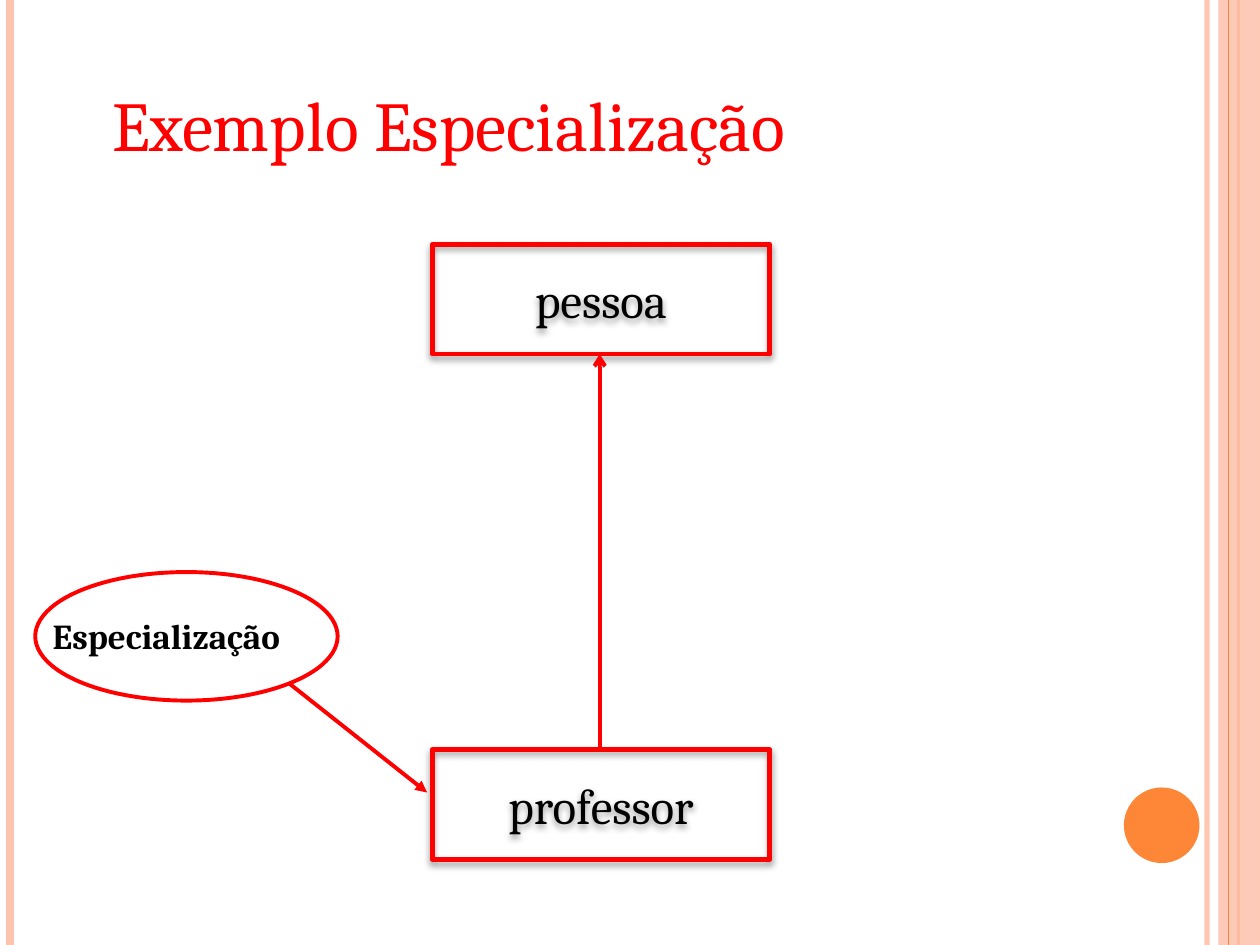
import pptx
import pptx.dml.color
import pptx.enum.shapes
import pptx.enum.text
import pptx.oxml
import pptx.oxml.ns
import pptx.util
from lxml import etree

RGB = pptx.dml.color.RGBColor
RED = RGB(0xFF, 0x00, 0x00)
BLACK = RGB(0x00, 0x00, 0x00)
ORANGE = RGB(0xFE, 0x86, 0x37)
PEACH = RGB(0xFE, 0xC3, 0xAE)

FONT = "Cambria"
COLS, ROWS = 100, 75
SHAPE = pptx.enum.shapes.MSO_SHAPE
ALIGN = pptx.enum.text.PP_ALIGN
ANCHOR = pptx.enum.text.MSO_ANCHOR
FIT = pptx.enum.text.MSO_AUTO_SIZE
qn = pptx.oxml.ns.qn


class Deck:
    """Holds the style and the current slide; lengths are grid columns and rows."""

    def __init__(self):
        self.prs = pptx.Presentation()
        self.prs.slide_width = pptx.util.Inches(10)
        self.prs.slide_height = pptx.util.Inches(7.5)
        self.s = self.prs.slides.add_slide(self.prs.slide_layouts[5])

    def x(self, cols):
        return round(self.prs.slide_width * cols / COLS)

    def y(self, rows):
        return round(self.prs.slide_height * rows / ROWS)

    def box(self, left, top, width, height):
        return self.x(left), self.y(top), self.x(width), self.y(height)

    def add_text(self, sp, text, size, color=BLACK, bold=False,
                 align=ALIGN.LEFT, anchor=ANCHOR.TOP, wrap=True):
        tf = sp.text_frame
        tf.word_wrap = wrap
        tf.auto_size = FIT.NONE
        tf.vertical_anchor = anchor
        p = tf.paragraphs[0]
        p.alignment = align
        r = p.add_run()
        r.text = text
        r.font.name = FONT
        r.font.size = pptx.util.Pt(size)
        r.font.bold = bold
        r.font.color.rgb = color

    def title(self, at, text):
        sp = self.s.shapes.title
        sp.left, sp.top, sp.width, sp.height = self.box(*at)
        self.add_text(sp, text, 40, RED, wrap=False)

    def label(self, at, text):
        sp = self.s.shapes.add_textbox(*self.box(*at))
        self.add_text(sp, text, 20, bold=True)

    def shape(self, kind, at, fill=None, line=None, width=1, alpha=None):
        sp = self.s.shapes.add_shape(kind, *self.box(*at))
        sp.shadow.inherit = False
        if fill is None:
            sp.fill.background()
        else:
            sp.fill.solid()
            sp.fill.fore_color.rgb = fill
            self.fade(sp, alpha)
        if line is None:
            sp.line.fill.background()
        else:
            sp.line.color.rgb = line
            sp.line.width = pptx.util.Pt(width)
        return sp

    def entity(self, at, text):
        sp = self.shape(SHAPE.RECTANGLE, at, line=RED, width=2.75)
        shadow = etree.SubElement(
            sp.element.spPr.find(qn("a:effectLst")), qn("a:outerShdw"),
            blurRad=str(pptx.util.Pt(4)), dist=str(pptx.util.Pt(2)),
            dir="5400000", rotWithShape="0")
        color = etree.SubElement(shadow, qn("a:srgbClr"), val=str(BLACK))
        etree.SubElement(color, qn("a:alpha"), val="40000")
        self.add_text(sp, text, 28, align=ALIGN.CENTER, anchor=ANCHOR.MIDDLE)

    def line(self, start, end, color, width, tail=None, alpha=None):
        c = self.s.shapes.add_connector(
            pptx.enum.shapes.MSO_CONNECTOR.STRAIGHT,
            self.x(start[0]), self.y(start[1]), self.x(end[0]), self.y(end[1]))
        c.line.color.rgb = color
        c.line.width = pptx.util.Pt(width)
        self.fade(c, alpha)
        spPr = c.element.spPr
        if tail:
            etree.SubElement(spPr.find(qn("a:ln")), qn("a:tailEnd"), type=tail)
        etree.SubElement(spPr, qn("a:effectLst"))

    def rule(self, col, color, width, alpha=None):
        self.line((col, 0), (col, ROWS), color, width, alpha=alpha)

    def fade(self, sp, alpha):
        if alpha is not None:
            color = next(sp.element.spPr.iter(qn("a:srgbClr")))
            etree.SubElement(color, qn("a:alpha"), val=str(alpha * 1000))


def main():
    d = Deck()

    # Side stripes and corner disc
    d.rule(95.8, PEACH, 3, alpha=93)
    d.rule(0.8, PEACH, 4.5)
    d.rule(98.3, ORANGE, 1.5)
    d.shape(SHAPE.RECTANGLE, (96.7, 0, 3.3, ROWS), fill=PEACH, alpha=87)
    d.rule(97.5, ORANGE, 0.75)
    d.shape(SHAPE.OVAL, (89.2, 62.5, 6, 6), fill=ORANGE)

    d.title((7.9, 6, 64.1, 7.7), "Exemplo Especialização")

    # Entities, joined from the lower one to the upper one
    left, width, height = 34.3, 26.8, 8.7
    upper, lower = 19.4, 59.5
    d.entity((left, upper, width, height), "pessoa")
    d.entity((left, lower, width, height), "professor")
    middle = left + width / 2 - 0.1
    d.line((middle, lower), (middle, upper + height), RED, 2.25, tail="arrow")

    # Callout pointing at the specialised entity
    d.line((22.9, 54.2), (33.9, 62.9), RED, 2.25, tail="triangle")
    d.shape(SHAPE.OVAL, (2.8, 45.4, 24, 10.2), line=RED, width=2.25)
    d.label((3.2, 48.3, 25.2, 4.4), "Especialização")

    d.prs.save("out.pptx")


if __name__ == "__main__":
    main()
